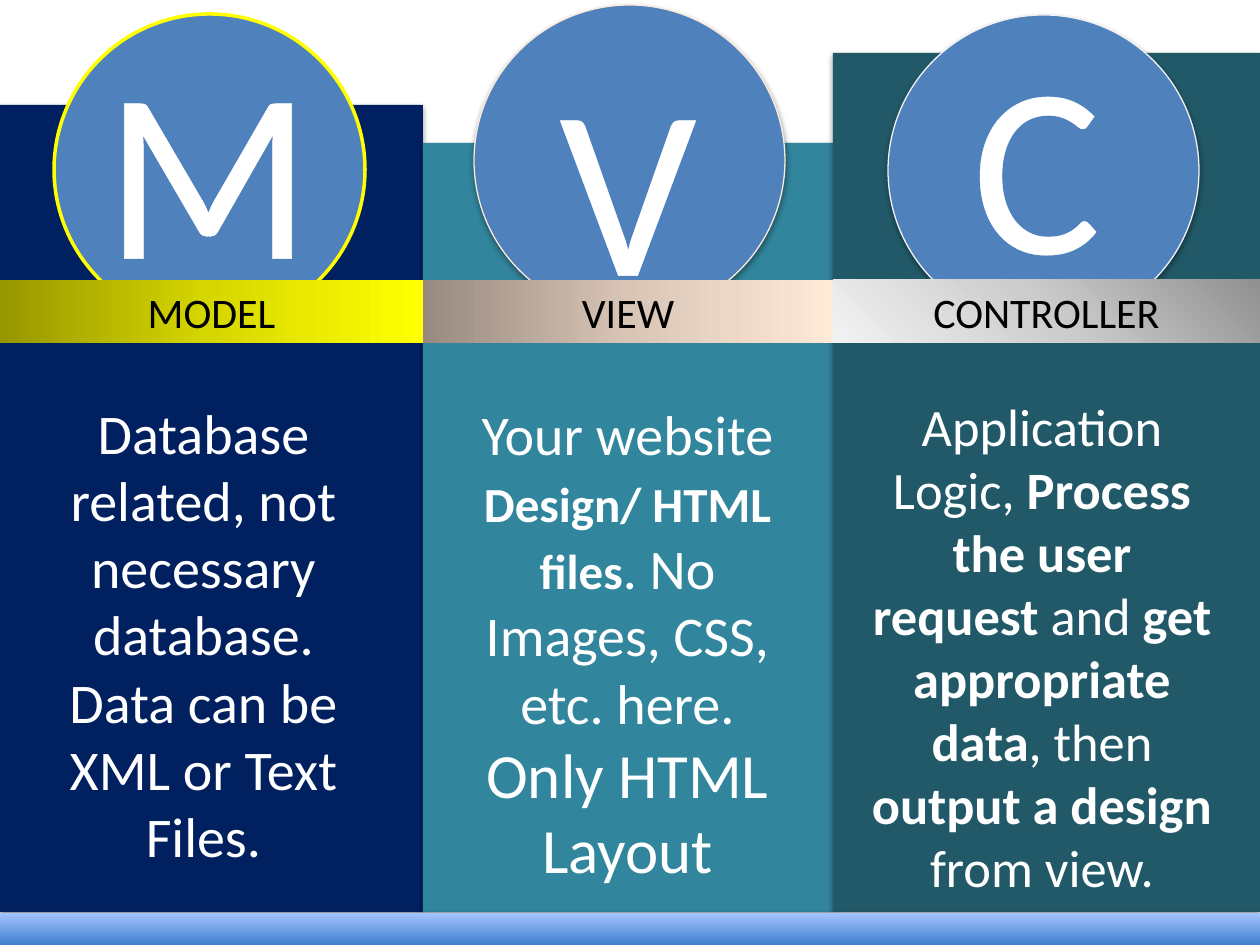
from lxml.etree import SubElement
from pptx import Presentation
from pptx.dml.color import RGBColor
from pptx.enum.shapes import MSO_SHAPE as SHAPE
from pptx.enum.text import MSO_ANCHOR as ANCHOR, MSO_AUTO_SIZE as FIT, PP_ALIGN as ALIGN
from pptx.oxml.ns import qn
from pptx.util import Emu, Pt

EMU_PER_PX = 914400 / 126
WHITE, BLACK, BLUE = "FFFFFF", "000000", "4F81BD"


def px(n):
    return Emu(round(n * EMU_PER_PX))


def rgb(value):
    return RGBColor.from_string(value)


def add(parent, tag, **attrs):
    return SubElement(parent, qn(tag), {k: str(v) for k, v in attrs.items()})


class Deck:
    font = "Calibri"

    def __init__(self, width, height):
        self.prs = Presentation()
        self.prs.slide_width, self.prs.slide_height = px(width), px(height)
        self.slide = self.prs.slides.add_slide(self.prs.slide_layouts[6])

    def shape(self, kind, box, fill=None, line=None, shadow=0):
        sp = self.slide.shapes.add_shape(kind, *map(px, box))
        if fill:
            sp.fill.solid()
            sp.fill.fore_color.rgb = rgb(fill)
        if line:
            color, width = line
            sp.line.color.rgb, sp.line.width = rgb(color), Pt(width)
        else:
            sp.line.fill.background()
        sp.shadow.inherit = False
        if shadow:
            effects = sp._element.spPr.find(qn("a:effectLst"))
            outer = add(effects, "a:outerShdw", blurRad=Pt(3.1), dist=Pt(1.7),
                        dir=5400000, rotWithShape=0)
            add(add(outer, "a:srgbClr", val=BLACK), "a:alpha", val=shadow * 1000)
        return sp

    def gradient(self, box, colors, angle=None, shadow=0):
        """Even stops; linear at an angle, or round from the top right corner."""
        sp = self.shape(SHAPE.RECTANGLE, box, shadow=shadow)
        sp.fill.gradient()
        grad = sp._element.spPr.find(qn("a:gradFill"))
        for child in list(grad):
            grad.remove(child)
        stops = add(grad, "a:gsLst")
        for i, color in enumerate(colors):
            stop = add(stops, "a:gs", pos=100000 * i // (len(colors) - 1))
            add(stop, "a:srgbClr", val=color)
        if angle is None:
            corner = add(grad, "a:path", path="circle")
            add(corner, "a:fillToRect", l=100000, t=0, r=0, b=100000)
        else:
            add(grad, "a:lin", ang=angle * 60000, scaled=0)
        return sp

    def text(self, sp, runs, color=WHITE, wrap=True, anchor=ANCHOR.TOP, outline=0):
        tf = sp.text_frame
        frame = {"word_wrap": wrap, "auto_size": FIT.SHAPE_TO_FIT_TEXT, "vertical_anchor": anchor}
        for name, value in frame.items():
            setattr(tf, name, value)
        p = tf.paragraphs[0]
        p.alignment = ALIGN.CENTER
        for words, size, bold in runs:
            r = p.add_run()
            r.text = words
            for name, value in {"name": self.font, "size": Pt(size), "bold": bold}.items():
                setattr(r.font, name, value)
            r.font.color.rgb = rgb(color)
            if outline:
                ln = add(r.font._element, "a:ln", w=Pt(outline))
                add(add(ln, "a:solidFill"), "a:srgbClr", val=color)
                r.font._element.insert(0, ln)

    def textbox(self, box, runs, **style):
        self.text(self.slide.shapes.add_textbox(*map(px, box)), runs, **style)

    def band(self, box, label, colors, angle):
        sp = self.gradient(box, colors, angle)
        self.text(sp, [(label, 24, False)], color=BLACK, anchor=ANCHOR.MIDDLE)


PANEL_BOTTOM, BAND_TOP, BAND_HEIGHT = 912, 280, 63
DIAMETER, LETTER_HEIGHT = 311, 305

COLUMNS = [
    dict(left=0, width=423, top=105, fill="002060",
         circle=(54, 14), line=("FFFF00", 2), glow=0,
         letter="M", letter_box=(91, 11, 234),
         label="MODEL", colors=["979700", "D7D700", "FFFF00"], angle=0,
         body_box=(43, 392, 321, 488),
         body=[("Database related, not necessary database. "
                "Data can be XML or Text Files.", 32, False)]),
    dict(left=423, width=410, top=143, fill="31859C",
         circle=(474, 5), line=("FDEADA", 0.75), glow=35,
         letter="V", letter_box=(543, 28, 170),
         label="VIEW", colors=["988A80", "D8C5B6", "FFEAD8"], angle=0,
         body_box=(467, 393, 321, 505),
         body=[("Your website ", 32, False), ("Design/ HTML", 28, True),
               (" ", 32, False), ("files", 28, True),
               (". No Images, CSS, etc. here. ", 32, False),
               ("Only HTML Layout", 36, False)]),
    dict(left=833, width=427, top=53, fill="215968",
         circle=(888, 15), line=("F2F2F2", 0.75), glow=35,
         letter="C", letter_box=(959, 6, 155),
         label="CONTROLLER", colors=["909090", "CCCCCC", "F2F2F2"], angle=None,
         body_box=(856, 388, 372, 522),
         body=[("Application Logic, ", 30, False),
               ("Process the user request ", 30, True), ("and ", 30, False),
               ("get appropriate data", 30, True), (", then ", 30, False),
               ("output a design ", 30, True), ("from view.", 30, False)]),
]


def main():
    deck = Deck(1260, 945)

    # Column panels
    for c in COLUMNS:
        box = (c["left"], c["top"], c["width"], PANEL_BOTTOM - c["top"])
        deck.shape(SHAPE.RECTANGLE, box, c["fill"], shadow=38)

    # Lettered circles and descriptions
    for c in COLUMNS:
        deck.shape(SHAPE.OVAL, (*c["circle"], DIAMETER, DIAMETER), BLUE, c["line"], c["glow"])
        deck.textbox((*c["letter_box"], LETTER_HEIGHT), [(c["letter"], 138, False)],
                     wrap=False, outline=1.45)
        deck.textbox(c["body_box"], c["body"])

    # Footer bar
    deck.gradient((0, 913, 1260, 32), ["3F80CE", "A4C4FF"], 270, shadow=35)

    # Label bands over the circles
    for c in COLUMNS:
        deck.band((c["left"], BAND_TOP, c["width"], BAND_HEIGHT),
                  c["label"], c["colors"], c["angle"])

    deck.prs.save("out.pptx")


if __name__ == "__main__":
    main()
